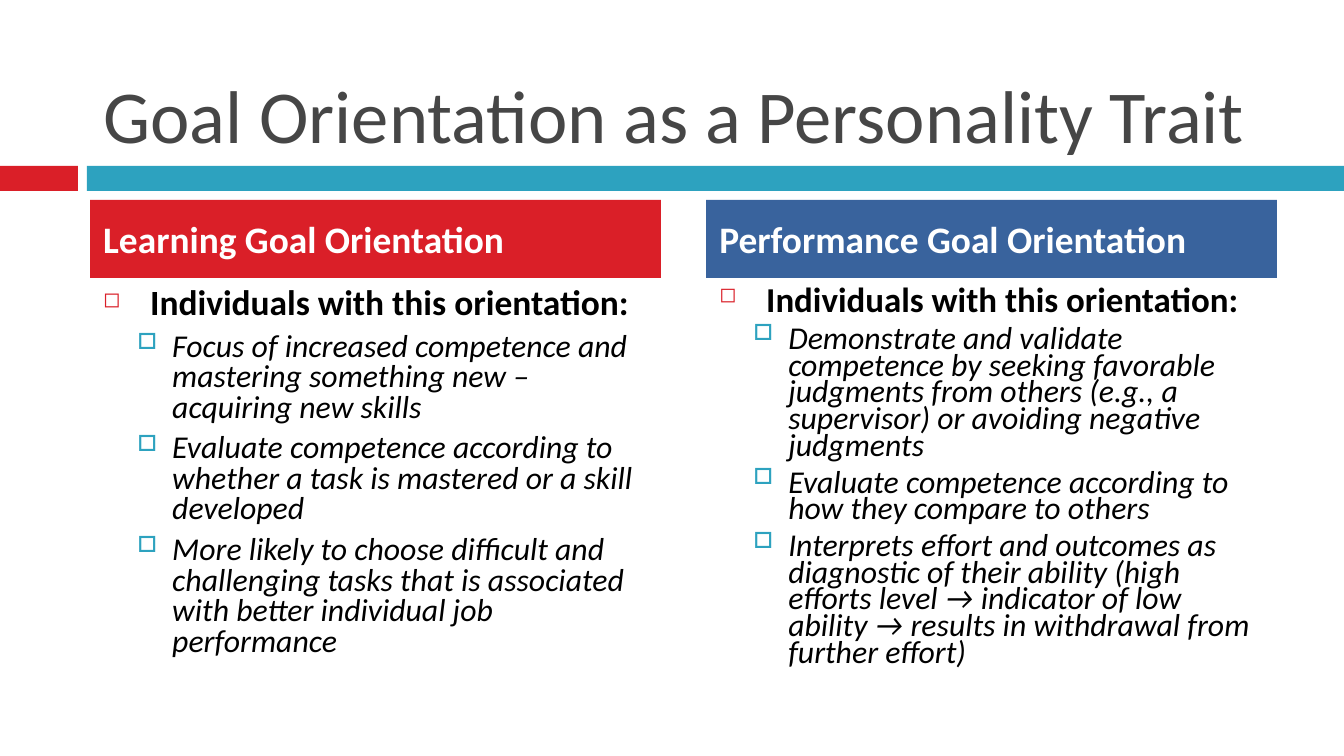
from lxml.etree import SubElement
from pptx import Presentation
from pptx.dml.color import RGBColor
from pptx.enum.shapes import MSO_SHAPE as Shape
from pptx.enum.text import MSO_ANCHOR as Anchor, MSO_AUTO_SIZE as AutoSize, PP_ALIGN as Align
from pptx.oxml.ns import qn
from pptx.util import Emu, Pt

FONT = "Calibri"
RED, TEAL, BLUE = "DA1F28", "2DA2BF", "39639D"
BLACK, WHITE, GREY = "000000", "FFFFFF", "464646"

# Content
TITLE = "Goal Orientation as a Personality Trait"
LEAD = "Individuals with this orientation:"
COLUMNS = [
    {
        "heading": "Learning Goal Orientation", "fill": RED,
        "spacing": 0.8, "lead_size": 19,
        "points": [
            "Focus of increased competence and mastering something new – acquiring new skills",
            "Evaluate competence according to whether a task is mastered or a skill developed",
            "More likely to choose difficult and challenging tasks that is associated "
            "with better individual job performance",
        ],
    },
    {
        "heading": "Performance Goal Orientation", "fill": BLUE,
        "spacing": 0.7, "lead_size": 18.7,
        "points": [
            "Demonstrate and validate competence by seeking favorable judgments from others "
            "(e.g., a supervisor) or avoiding negative judgments",
            "Evaluate competence according to how they compare to others",
            "Interprets effort and outcomes as diagnostic of their ability (high efforts level "
            "→ indicator of low ability → results in withdrawal from further effort)",
        ],
    },
]

# Layout in px
SLIDE_W, SLIDE_H = 1344, 756
BAR_TOP, BAR_H = 166, 25
LEFT, COLUMN_W, COLUMN_STEP = 90, 571, 616
HEADING_TOP, HEADING_H = 200, 78
BODY_TOP, BODY_H = 282, 387


def px(n):
    return Emu(round(n * 914400 / 134.4))


def color(hex_string):
    return RGBColor.from_string(hex_string)


def add_bar(slide, left, top, width, height, fill):
    bar = slide.shapes.add_shape(Shape.RECTANGLE, px(left), px(top), px(width), px(height))
    bar.shadow.inherit = False
    bar.fill.solid()
    bar.fill.fore_color.rgb = color(fill)
    bar.line.fill.background()
    return bar


def set_font(paragraph, size, ink, bold=False, italic=False):
    font = paragraph.font
    font.name, font.size, font.bold, font.italic = FONT, Pt(size), bold, italic
    font.color.rgb = color(ink)


def set_bullet(paragraph, char, ink, percent, indent, hanging):
    props = paragraph._p.get_or_add_pPr()
    props.set("marL", str(px(indent)))
    props.set("indent", str(-px(hanging)))
    bullet_color = SubElement(props, qn("a:buClr"))
    SubElement(bullet_color, qn("a:srgbClr")).set("val", ink)
    SubElement(props, qn("a:buSzPct")).set("val", str(percent * 1000))
    SubElement(props, qn("a:buChar")).set("char", char)


prs = Presentation()
prs.slide_width, prs.slide_height = px(SLIDE_W), px(SLIDE_H)
slide = prs.slides.add_slide(prs.slide_layouts[5])

# Divider under the title
add_bar(slide, 0, BAR_TOP, 78, BAR_H, RED)
add_bar(slide, 87, BAR_TOP, SLIDE_W - 87, BAR_H, TEAL)

# Title
title = slide.shapes.title
title.left, title.top, title.width, title.height = px(LEFT), px(17), px(1199), px(148)
title.text_frame.text = TITLE
title.text_frame.auto_size = AutoSize.NONE
title.text_frame.vertical_anchor = Anchor.BOTTOM
title.text_frame.paragraphs[0].alignment = Align.LEFT
set_font(title.text_frame.paragraphs[0], 40, GREY)

for number, column in enumerate(COLUMNS):
    left = LEFT + number * COLUMN_STEP

    # Heading band
    heading = add_bar(slide, left, HEADING_TOP, COLUMN_W, HEADING_H, column["fill"])
    heading.text_frame.text = column["heading"]
    heading.text_frame.vertical_anchor = Anchor.MIDDLE
    heading.text_frame.paragraphs[0].alignment = Align.LEFT
    set_font(heading.text_frame.paragraphs[0], 20, WHITE, bold=True)

    # Lead line and its points
    body = slide.shapes.add_textbox(px(left), px(BODY_TOP), px(COLUMN_W), px(BODY_H)).text_frame
    body.word_wrap = True
    lead = body.paragraphs[0]
    lead.text = LEAD
    lead.line_spacing = column["spacing"]
    set_bullet(lead, "◻", RED, 60, 47, 47)
    set_font(lead, column["lead_size"], BLACK, bold=True)
    for text in column["points"]:
        point = body.add_paragraph()
        point.text = text
        point.level = 1
        point.line_spacing = column["spacing"]
        point.space_before = Pt(5.5)
        set_bullet(point, "□", TEAL, 70, 69, 35)
        set_font(point, 17, BLACK, italic=True)

prs.save("out.pptx")
